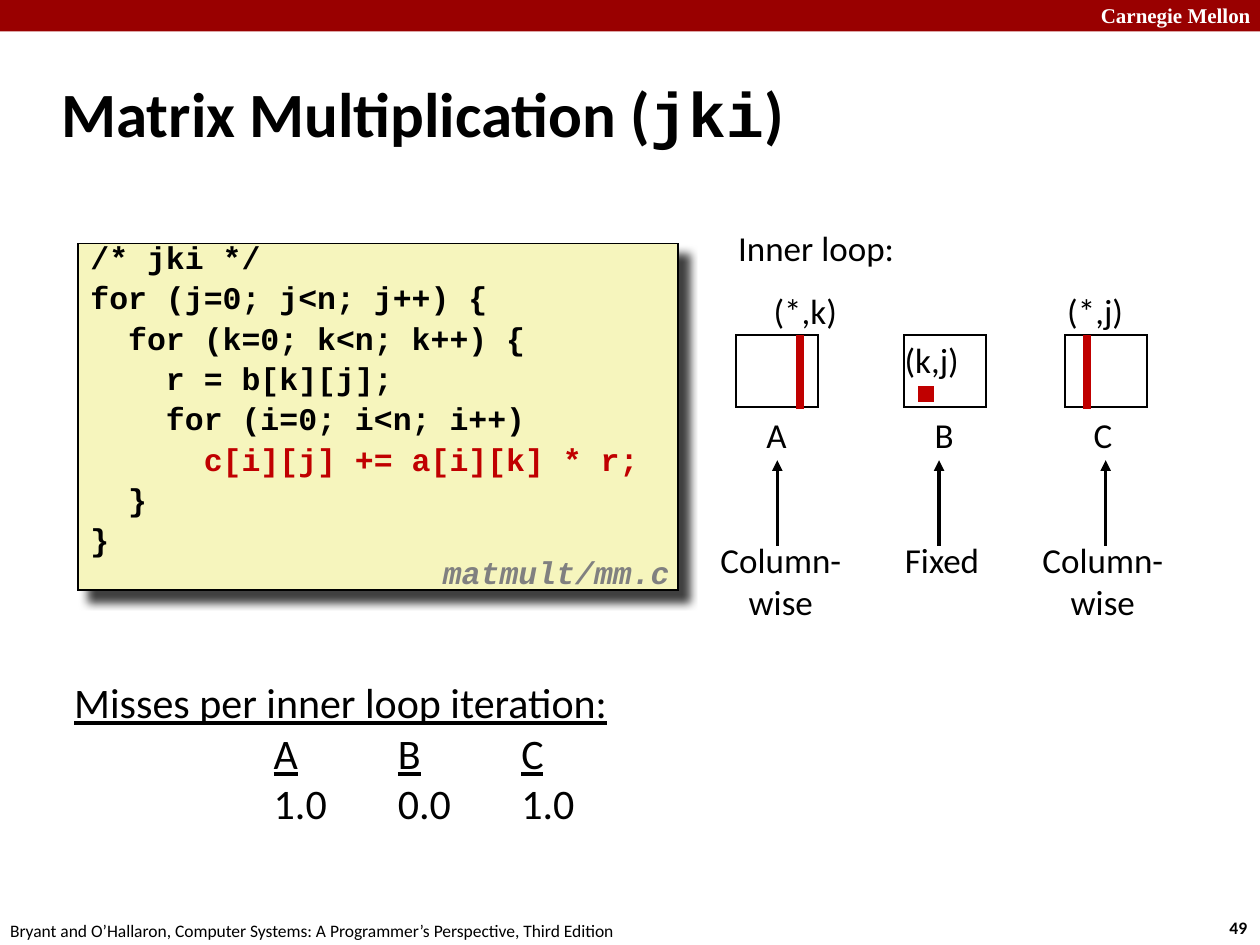
"""Build the slide on cache misses of jki matrix multiplication."""
from lxml.etree import SubElement
from pptx import Presentation
from pptx.dml.color import RGBColor
from pptx.enum.shapes import MSO_CONNECTOR, MSO_SHAPE
from pptx.enum.text import MSO_ANCHOR, PP_ALIGN
from pptx.oxml.ns import qn
from pptx.util import Pt

COLORS = {"black": "000000", "white": "FFFFFF", "banner": "990000", "code": "F6F5BD",
          "red": "C00000", "cell": "FF0000", "gray": "808080"}
BODY, MONO, SERIF = "Calibri", "Courier New", "Times New Roman"

CODE = [
    "/* jki */",
    "for (j=0; j<n; j++) {",
    "  for (k=0; k<n; k++) {",
    "    r = b[k][j];",
    "    for (i=0; i<n; i++)",
    "      c[i][j] += a[i][k] * r;",
    "  }",
    "}",
]
HOT_LINE = 5
MATRICES = [
    dict(name="A", left=420.5, name_left=430.8, access=["Column-", "wise"],
         access_box=(404.2, 84), arrow=444.2, index="(*,k)", index_at=(435, 162), column=457.2),
    dict(name="B", left=516.5, name_left=527, access=["Fixed"],
         access_box=(509.8, 57), arrow=536.6, index="(k,j)", index_at=(509.8, 190), column=None),
    dict(name="C", left=608.4, name_left=617.8, access=["Column-", "wise"],
         access_box=(588.2, 84), arrow=631.8, index="(*,j)", index_at=(602.8, 162), column=621),
]
MATRIX_TOP, MATRIX_W, MATRIX_H = 191.5, 47, 41
INDEX_W = 56
MISSES = [("A", "B", "C"), ("1.0", "0.0", "1.0")]
MISS_TABS = (114, 185, 255.5)


def rgb(name):
    return RGBColor.from_string(COLORS[name])


def style(font, size, name=BODY, color="black", bold=False, italic=False):
    font.size, font.name, font.bold, font.italic = Pt(size), name, bold, italic
    font.color.rgb = rgb(color)


def add_text(s, box, lines, size=20, align=PP_ALIGN.LEFT, wrap=False, **look):
    tf = s.shapes.add_textbox(*map(Pt, box)).text_frame
    tf.word_wrap = wrap
    tf.text = "\n".join(lines)
    for p in tf.paragraphs:
        p.alignment = align
        style(p.font, size, **look)
    return tf


def add_rect(s, box, fill, line=None, width=1):
    sp = s.shapes.add_shape(MSO_SHAPE.RECTANGLE, *map(Pt, box))
    sp.shadow.inherit = False
    sp.fill.solid()
    sp.fill.fore_color.rgb = rgb(fill)
    if line:
        sp.line.color.rgb = rgb(line)
        sp.line.width = Pt(width)
        SubElement(sp.line._get_or_add_ln(), qn("a:miter"), lim="800000")
    else:
        sp.line.fill.background()
    return sp


def add_line(s, x, start, end, color, width, arrow=False):
    c = s.shapes.add_connector(MSO_CONNECTOR.STRAIGHT, Pt(x), Pt(start), Pt(x), Pt(end))
    c.line.color.rgb = rgb(color)
    c.line.width = Pt(width)
    if arrow:
        SubElement(c.line._get_or_add_ln(), qn("a:tailEnd"), type="triangle")
    SubElement(c._element.spPr, qn("a:effectLst"))


def add_shadow(sp):
    effects = sp._element.spPr.find(qn("a:effectLst"))
    shadow = SubElement(effects, qn("a:outerShdw"), blurRad=str(Pt(5)), dist=str(Pt(8.5)),
                        dir="2700000", algn="tl", rotWithShape="0")
    color = SubElement(shadow, qn("a:srgbClr"), val=COLORS["black"])
    SubElement(color, qn("a:alpha"), val="75000")


def add_code(s):
    sp = add_rect(s, (44.6, 139.2, 342.7, 198), "code", "black")
    add_shadow(sp)
    tf = sp.text_frame
    tf.vertical_anchor = MSO_ANCHOR.TOP
    tf.text = "\n".join(CODE)
    for i, p in enumerate(tf.paragraphs):
        p.alignment = PP_ALIGN.LEFT
        p.line_spacing = 0.65
        p.space_before = Pt(9 if i else 0)
        style(p.font, 18, MONO, "red" if i == HOT_LINE else "black", bold=True)
    add_text(s, (246, 312.5, 150, 28), ["matmult/mm.c"], 18, name=MONO, color="gray",
             bold=True, italic=True)


def add_matrix(s, m):
    add_rect(s, (m["left"], MATRIX_TOP, MATRIX_W, MATRIX_H), "white", "black")
    add_text(s, (m["name_left"], 233, 26, 31), [m["name"]])
    if m["column"]:
        add_line(s, m["column"], 233.5, 191.5, "red", 4.5)
    else:
        add_rect(s, (527, 223, 4.3, 4.3), "cell", "red", 4.5)
    add_text(s, (*m["index_at"], INDEX_W, 31), [m["index"]])
    left, width = m["access_box"]
    add_text(s, (left, 304.3, width, 31 * len(m["access"])), m["access"],
             align=PP_ALIGN.CENTER)
    add_line(s, m["arrow"], 312, 263, "black", 2, arrow=True)


def add_misses(s):
    tf = add_text(s, (35.3, 383.3, 432.7, 96.5), ["Misses per inner loop iteration:"], 24, wrap=True)
    tf.paragraphs[0].font.underline = True
    for row, values in enumerate(MISSES):
        p = tf.add_paragraph()
        tabs = SubElement(p._p.get_or_add_pPr(), qn("a:tabLst"))
        for pos in MISS_TABS:
            SubElement(tabs, qn("a:tab"), pos=str(Pt(pos)), algn="l")
        style(p.font, 24)
        for value in values:
            p.add_run().text = "\t"
            r = p.add_run()
            r.text = value
            r.font.underline = row == 0


def add_title(s):
    tf = add_text(s, (28, 34.3, 597.6, 59.8), [""], 36, wrap=True, bold=True)
    tf.vertical_anchor = MSO_ANCHOR.MIDDLE
    for text, font in [("Matrix Multiplication (", BODY), ("jki", MONO), (")", BODY)]:
        r = tf.paragraphs[0].add_run()
        r.text, r.font.name = text, font


def main():
    prs = Presentation()
    prs.slide_width, prs.slide_height = Pt(720), Pt(540)
    s = prs.slides.add_slide(prs.slide_layouts[6])
    add_rect(s, (0, 0, 720, 18), "banner")
    add_text(s, (622, -2, 103, 22), ["Carnegie Mellon"], 12, name=SERIF, color="white", bold=True)
    add_text(s, (695.5, 520.5, 26.6, 19.4), ["49"], 10, bold=True)
    add_text(s, (-1.3, 522, 366, 19.4), ["Bryant and O’Hallaron, Computer Systems: "
             "A Programmer’s Perspective, Third Edition"], 10)
    add_title(s)
    add_code(s)
    add_text(s, (414.7, 126, 104.4, 31), ["Inner loop:"])
    for m in MATRICES:
        add_matrix(s, m)
    add_misses(s)
    prs.save("out.pptx")


if __name__ == "__main__":
    main()
